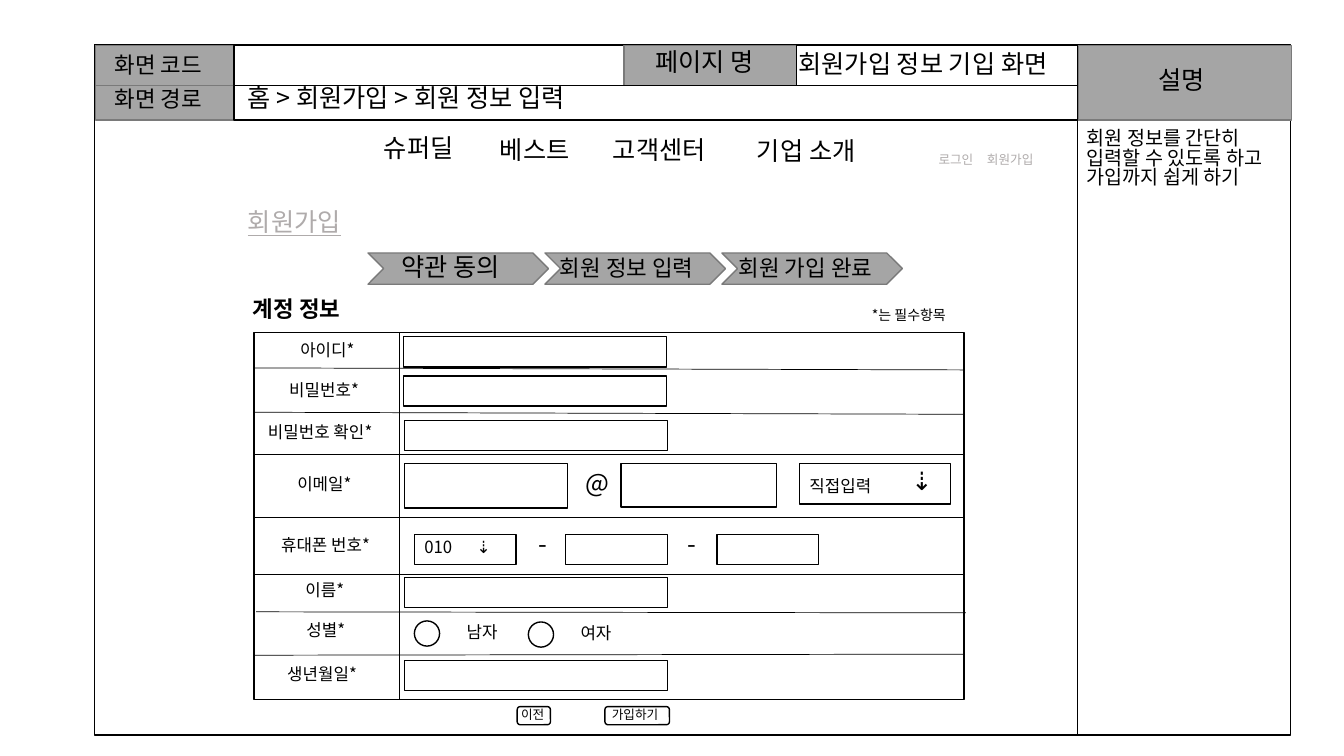
from pptx import Presentation
from pptx import util as u
from pptx.dml.color import RGBColor
from pptx.enum import shapes, text
from pptx.oxml.ns import qn
from lxml import etree

FONT = "Noto Sans CJK KR"
BLACK, WHITE, GRAY, EDGE, PALE = "000000", "FFFFFF", "A5A5A5", "7A7A7A", "AFABAB"
KIND = shapes.MSO_SHAPE
FRAME = {
    "word_wrap": False,
    "auto_size": text.MSO_AUTO_SIZE.SHAPE_TO_FIT_TEXT,
    "vertical_anchor": text.MSO_ANCHOR.TOP,
    "margin_left": u.Inches(0.1),
    "margin_right": u.Inches(0.1),
    "margin_top": u.Inches(0.07),
    "margin_bottom": u.Inches(0.03),
}
PARA = {
    "alignment": text.PP_ALIGN.LEFT,
    "line_spacing": 0.83,
    "space_before": u.Pt(0),
}


def color(code):
    return RGBColor.from_string(code)


def apply(item, values):
    for name, value in values.items():
        setattr(item, name, value)


def place(box):
    return [u.Inches(n) for n in box]


def write(shape, words, size, tint=BLACK, **extra):
    frame = shape.text_frame
    frame.text = words
    apply(frame, FRAME)
    for para in frame.paragraphs:
        apply(para, PARA)
        for run in para.runs:
            apply(run.font, {"name": FONT, "size": u.Pt(size), "bold": False, **extra})
            run.font.color.rgb = color(tint)
            east = etree.SubElement(run.font._element, qn("a:ea"))
            east.set("typeface", FONT)


def label(slide, box, words, size=18, tint=BLACK, **extra):
    shape = slide.shapes.add_textbox(*place(box))
    write(shape, words, size, tint, **extra)


def block(slide, box, fill=WHITE, edge=BLACK, kind=KIND.RECTANGLE):
    shape = slide.shapes.add_shape(kind, *place(box))
    shape.shadow.inherit = False
    shape.fill.solid()
    shape.fill.fore_color.rgb = color(fill)
    shape.line.color.rgb = color(edge)
    shape.line.width = u.Pt(1)


def rule(slide, *ends):
    line = slide.shapes.add_connector(shapes.MSO_CONNECTOR.STRAIGHT, *place(ends))
    line.line.color.rgb = color(BLACK)
    line.line.width = u.Pt(0.5)
    etree.SubElement(line._element.spPr, qn("a:effectLst"))


def header(slide, x, y):
    cells = [
        (0, 0, 1.37, 0.4, True), (1.37, 0, 3.87, 0.4, False),
        (5.24, 0, 1.72, 0.4, True), (6.95, 0, 2.79, 0.4, False),
        (0, 0.4, 1.37, 0.34, True), (1.37, 0.4, 8.37, 0.34, False),
        (9.74, 0, 2.12, 0.74, True),
    ]
    for dx, dy, w, h, dark in cells:
        block(slide, (x + dx, y + dy, w, h), *((GRAY, EDGE) if dark else ()))
    rule(slide, x + 9.74, y, x + 9.74, y + 6.84)
    label(slide, (x + 0.09, y + 0.03, 1.28, 0.37), "화면 코드", 16)
    label(slide, (x + 0.09, y + 0.37, 1.18, 0.37), "화면 경로", 16)
    label(slide, (x + 5.45, y - 0.01, 1.3, 0.4), "페이지 명")
    label(slide, (x + 10.44, y + 0.17, 0.71, 0.4), "설명")
    label(slide, (x + 1.41, y + 0.35, 3.87, 0.4), "홈 > 회원가입 > 회원 정보 입력")
    title = slide.shapes.title
    slide.shapes.element.append(title.element)
    spot = place((x + 6.87, y + 0.01, 3.08, 0.4))
    apply(title, dict(zip(("left", "top", "width", "height"), spot)))
    write(title, "회원가입 정보 기입 화면", 18)


def menu(slide, x, y):
    items = [("슈퍼딜", 0, 0, 1.15), ("베스트", 1.15, 0.02, 0.96),
             ("고객센터", 2.27, 0.02, 1.21), ("기업 소개", 3.7, 0.03, 1.3)]
    for words, dx, dy, w in items:
        label(slide, (x + dx, y + dy, w, 0.4), words)
    for words, dx, w in (("로그인", 5.5, 0.55), ("회원가입", 5.98, 0.71)):
        label(slide, (x + dx, y + 0.17, w, 0.25), words, 9, PALE)


def steps(slide, x, y):
    label(slide, (x - 1.29, y - 0.48, 1.21, 0.4), "회원가입", 18, PALE, underline=True)
    items = [("약관 동의", 0.23, -0.04, 18), ("회원 정보 입력", 0.05, -0.01, 16),
             ("회원 가입 완료", 0.07, -0.01, 16)]
    for i, (words, dx, dy, size) in enumerate(items):
        left = x + 1.755 * i
        block(slide, (left, y, 1.79, 0.31), GRAY, EDGE, KIND.CHEVRON)
        label(slide, (left + dx, y + dy, 1.71, 0.37), words, size)


def grid(slide, x, y):
    label(slide, (x - 0.11, y - 0.4, 1.18, 0.37), "계정 정보", 16, bold=True)
    label(slide, (x + 6.03, y - 0.3, 1.01, 0.27), "*는 필수항목", 10)
    block(slide, (x, y, 7.04, 2.41))
    block(slide, (x, y + 2.4, 7.04, 1.24))
    rule(slide, x + 1.44, y, x + 1.44, y + 3.64)
    ends = [(0, 0.35, 0.37), (0, 0.79, 0.81), (0, 1.21, 1.21), (0, 1.83, 1.83),
            (0.02, 2.77, 2.78), (0, 3.2, 3.19)]
    for dx, start, stop in ends:
        rule(slide, x + dx, y + start, x + dx + 7.04, y + stop)
    names = [
        ("아이디*", 0.36, 0.03, 0.78), ("비밀번호*", 0.25, 0.43, 0.95),
        ("비밀번호 확인*", 0.04, 0.85, 1.34), ("이메일*", 0.33, 1.36, 0.78),
        ("휴대폰 번호*", 0.17, 1.97, 1.17), ("이름*", 0.41, 2.42, 0.61),
        ("성별*", 0.42, 2.81, 0.61), ("생년월일*", 0.23, 3.25, 0.95),
    ]
    for words, dx, dy, w in names:
        label(slide, (x + dx, y + dy, w, 0.3), words, 12)


def fields(slide, x, y):
    for dx, dy in ((0, 0.04), (0, 0.43), (0.01, 0.87), (0.01, 2.43), (0.01, 3.25)):
        block(slide, (x + dx, y + dy, 2.61, 0.3))
    for dx, w, h in ((0.01, 1.62, 0.44), (2.16, 1.54, 0.43), (3.93, 1.5, 0.4)):
        block(slide, (x + dx, y + 1.3, w, h))
    label(slide, (x + 1.71, y + 1.32, 0.45, 0.4), "@")
    label(slide, (x + 3.93, y + 1.38, 0.95, 0.3), "직접입력", 12)
    label(slide, (x + 4.94, y + 1.3, 0.4, 0.4), "⇣")
    for i in range(3):
        block(slide, (x + 0.11 + 1.5 * i, y + 2, 1.01, 0.3))
    for dx in (1.24, 2.72):
        label(slide, (x + dx, y + 1.92, 0.31, 0.4), "-")
    label(slide, (x + 0.11, y + 1.99, 0.5, 0.3), "010", 12)
    label(slide, (x + 0.63, y + 1.99, 0.4, 0.3), "⇣", 12)
    for i, words in enumerate(("남자", "여자")):
        left, top = x + 0.11 + 1.13 * i, y + 2.86 + 0.01 * i
        block(slide, (left, top, 0.25, 0.25), kind=KIND.OVAL)
        label(slide, (left + 0.42, top - 0.03, 0.54, 0.3), words, 12)


def buttons(slide, x, y):
    for words, dx, w, pad in (("이전", 0, 0.33, 0.06), ("가입하기", 0.87, 0.64, 0.03)):
        block(slide, (x + dx, y, w, 0.18), kind=KIND.ROUNDED_RECTANGLE)
        label(slide, (x + dx - pad, y - 0.04, w + 2 * pad, 0.25), words, 9)


def main():
    deck = Presentation()
    apply(deck, {"slide_width": u.Inches(13.33), "slide_height": u.Inches(7.5)})
    slide = deck.slides.add_slide(deck.slide_layouts[5])
    block(slide, (0.94, 0.44, 11.86, 6.85))
    header(slide, 0.95, 0.45)
    menu(slide, 3.71, 1.29)
    steps(slide, 3.65, 2.51)
    grid(slide, 2.52, 3.3)
    fields(slide, 4, 3.3)
    buttons(slide, 5.13, 7.01)
    note = "회원 정보를 간단히\n입력할 수 있도록 하고\n가입까지 쉽게 하기"
    label(slide, (10.68, 1.22, 2.24, 0.81), note, 14)
    deck.save("out.pptx")


if __name__ == "__main__":
    main()
